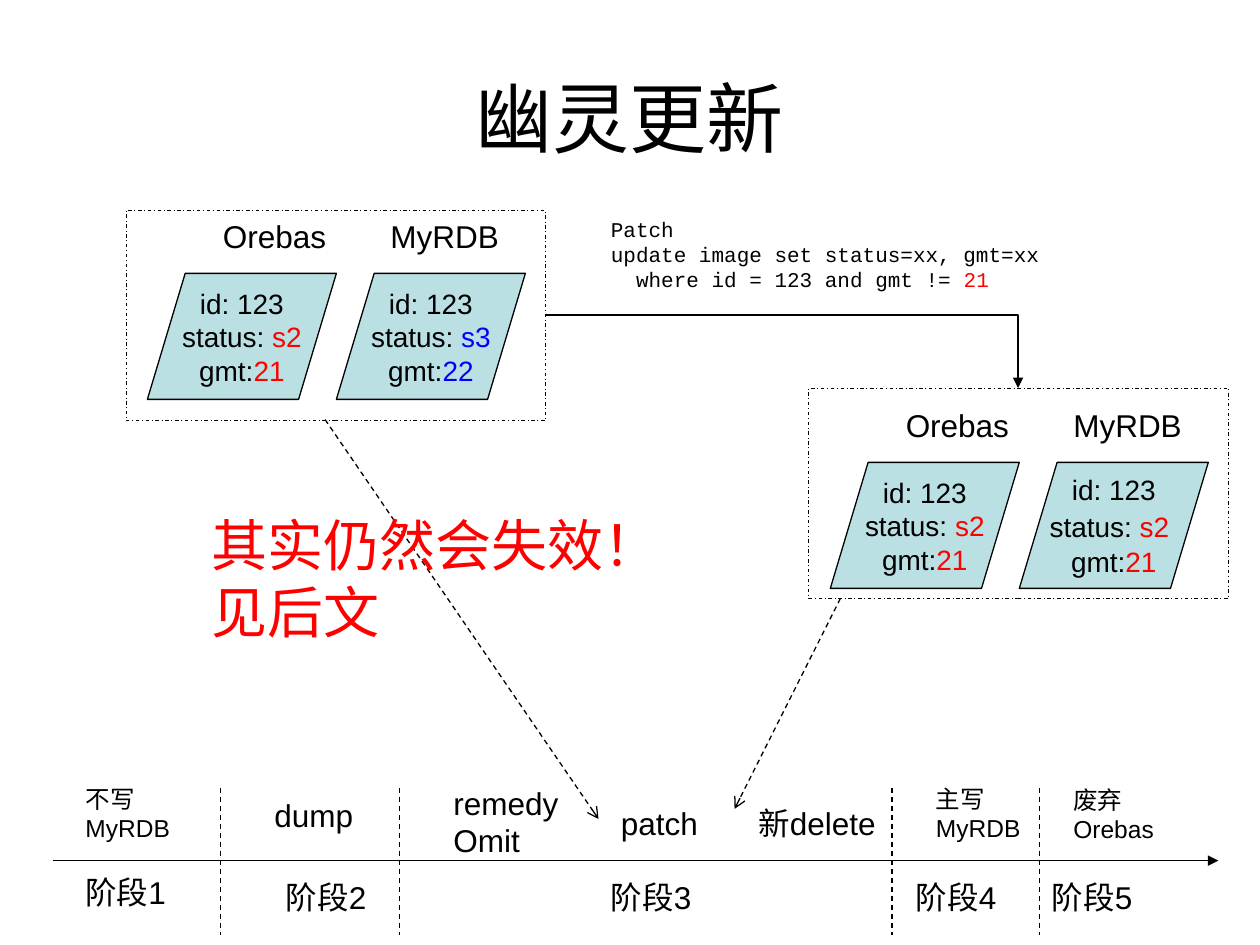
from typing import NamedTuple

from lxml.etree import SubElement
from pptx import Presentation
from pptx.dml.color import RGBColor as RGB
from pptx.enum.dml import MSO_LINE as Dash
from pptx.enum.shapes import MSO_CONNECTOR as Conn, MSO_SHAPE as Shape
from pptx.enum.text import MSO_ANCHOR as Anchor, MSO_AUTO_SIZE as Fit, PP_ALIGN as Align
from pptx.oxml.ns import qn
from pptx.util import Inches, Pt

COLORS = {"ink": "000000", "cell": "BBE0E3", "red": "FF0000", "blue": "0000FF"}
OLD, NEW = "Orebas", "MyRDB"


class Run(NamedTuple):
    text: str
    color: str = "ink"
    size: int = 0  # 0 takes the size of the whole text


class Label(NamedTuple):
    x: float
    y: float
    w: float
    h: float
    runs: list[Run]
    size: int = 18
    font: str = "Arial"


class Link(NamedTuple):
    start: tuple[float, float]
    end: tuple[float, float]
    dash: Dash | None = None
    tail: str = ""
    bent: bool = False


class State(NamedTuple):
    """Both databases at one moment: origin of the contents and top of the frame."""
    x: float
    y: float
    top: float
    cells: list[list[Run]]


def tint(name: str) -> RGB:
    return RGB.from_string(COLORS[name])


def box(*vals: float) -> list[int]:
    return [Inches(v) for v in vals]


def style(item, **vals) -> None:
    for key, val in vals.items():
        setattr(item, key, val)


def write(para, runs: list[Run], size: int, font: str = "Arial") -> None:
    """Fill a paragraph with runs; a newline becomes a line break."""
    for run in runs:
        pts = run.size or size
        for i, part in enumerate(run.text.split("\n")):
            if i:
                para.add_line_break()
                SubElement(para._p.findall(qn("a:br"))[-1], qn("a:rPr"), sz=str(pts * 100))
            if part:
                piece = para.add_run()
                piece.text = part
                style(piece.font, size=Pt(pts), name=font)
                piece.font.color.rgb = tint(run.color)


def add_label(shapes, label: Label) -> None:
    frame = shapes.add_textbox(*box(label.x, label.y, label.w, label.h)).text_frame
    style(frame, word_wrap=True, auto_size=Fit.SHAPE_TO_FIT_TEXT)
    para = frame.paragraphs[0]
    para.space_before = Pt(label.size * 0.625)
    write(para, label.runs, label.size, label.font)


def add_link(shapes, link: Link) -> None:
    line = shapes.add_connector(Conn.ELBOW if link.bent else Conn.STRAIGHT,
                                *box(*link.start, *link.end))
    line.line.color.rgb = tint("ink")
    style(line.line, width=Pt(0.75), dash_style=link.dash)
    props = line._element.spPr
    if link.bent:
        props.find(qn("a:prstGeom")).set("prst", "bentConnector2")
    if link.tail:
        SubElement(props.find(qn("a:ln")), qn("a:tailEnd"), type=link.tail)
    SubElement(props, qn("a:effectLst"))


def add_cell(shapes, x: float, y: float, runs: list[Run]) -> None:
    cell = shapes.add_shape(Shape.FLOWCHART_DATA, *box(x, y, 1.5, 1))
    cell.shadow.inherit = False
    cell.fill.solid()
    cell.fill.fore_color.rgb = tint("cell")
    cell.line.color.rgb = tint("ink")
    cell.line.width = Pt(0.75)
    frame = cell.text_frame
    style(frame, word_wrap=False, vertical_anchor=Anchor.MIDDLE)
    para = frame.paragraphs[0]
    para.alignment = Align.CENTER
    write(para, runs, 16)


def add_state(shapes, state: State) -> None:
    group = shapes.add_group_shape().shapes
    for i, runs in enumerate(state.cells):
        add_cell(group, state.x + 0.17 + 1.5 * i, state.y + 0.5, runs)
    for i, name in enumerate((OLD, NEW)):
        add_label(group, Label(state.x + 0.67 + 1.33 * i, state.y, 1.08, 0.4, [Run(name)]))
    frame = group.add_shape(Shape.RECTANGLE, *box(state.x, state.top, 3.33, 1.67))
    frame.shadow.inherit = False
    frame.fill.background()
    frame.line.color.rgb = tint("ink")
    style(frame.line, width=Pt(0.5), dash_style=Dash.DASH_DOT)


def record(status: str, gmt: str, color: str, gap: list[Run]) -> list[Run]:
    return [Run("id: 123\nstatus: "), Run(status, color), *gap,
            Run("gmt:"), Run(gmt, color)]


def main() -> None:
    deck = Presentation()
    style(deck, slide_width=Inches(10), slide_height=Inches(7.5))
    slide = deck.slides.add_slide(deck.slide_layouts[5])
    shapes = slide.shapes

    title = shapes.title
    style(title, **dict(zip(("left", "top", "width", "height"), box(0.5, 0.3, 9, 1.25))))
    title.text_frame.vertical_anchor = Anchor.MIDDLE
    head = title.text_frame.paragraphs[0]
    head.alignment = Align.CENTER
    write(head, [Run("幽灵更新")], 44)

    # Timeline
    add_link(shapes, Link((0.42, 6.83), (9.67, 6.83), tail="triangle"))
    for x in (1.75, 3.17, 7.08, 8.25):
        add_link(shapes, Link((x, 6.25), (x, 7.42), Dash.DASH))
    for i, x in enumerate((0.58, 2.17, 4.75, 7.17, 8.25), 1):
        y = 6.88 if i == 1 else 6.92
        add_label(shapes, Label(x, y, 1.08, 0.4, [Run(f"阶段{i}")]))
    for x, y, w, h, text, size in (
        (2.08, 6.27, 1.08, 0.4, "dump", 18),
        (4.83, 6.33, 1.08, 0.4, "patch", 18),
        (5.92, 6.33, 1.25, 0.4, "新delete", 18),
        (0.58, 6.17, 1.08, 0.57, f"不写{NEW}", 14),
        (7.33, 6.17, 1.08, 0.57, f"主写{NEW}", 14),
        (8.42, 6.18, 1.08, 0.57, f"废弃{OLD}", 14),
        (3.5, 6.17, 1.08, 0.7, "remedy\nOmit", 18),
    ):
        add_label(shapes, Label(x, y, w, h, [Run(text)], size))

    # Data before and after the patch
    gap = [Run("\n")]
    stale = record("s2", "21", "red", gap)
    fresh = record("s3", "22", "blue", gap)
    ghost = record("s2", "21", "red", [Run(" \n", size=18)])
    add_state(shapes, State(1, 1.67, 1.67, [stale, fresh]))
    add_state(shapes, State(6.42, 3.17, 3.08, [stale, ghost]))

    for link in (
        Link((2.58, 3.33), (4.75, 6.5), Dash.DASH, "arrow"),
        Link((6.67, 4.75), (5.83, 6.42), Dash.DASH, "arrow"),
        Link((4.33, 2.5), (8.08, 3.08), tail="triangle", bent=True),
    ):
        add_link(shapes, link)

    query = ("Patch\nupdate image set status=xx, gmt=xx\n"
             "  where id = 123 and gmt != ")
    add_label(shapes, Label(4.75, 1.67, 3.83, 0.7, [Run(query), Run("21", "red")],
                            12, "Courier New"))
    add_label(shapes, Label(1.58, 4, 4.25, 1.17,
                            [Run("其实仍然会失效！\n见后文", "red")], 32))
    deck.save("out.pptx")


if __name__ == "__main__":
    main()
